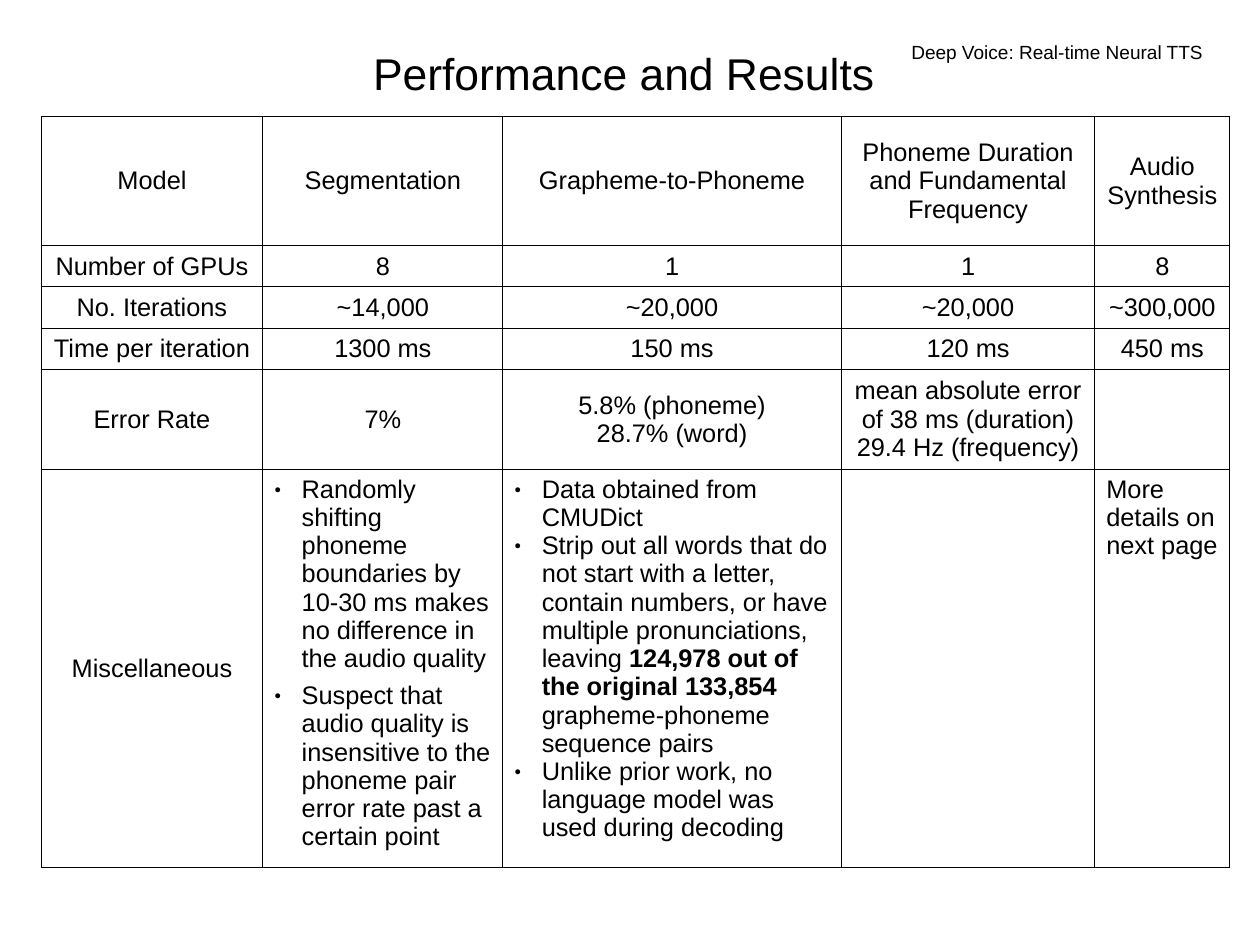
from lxml import etree
from pptx import Presentation
from pptx.dml.color import RGBColor
from pptx.enum.text import MSO_ANCHOR, PP_ALIGN
from pptx.oxml.ns import qn
from pptx.util import Inches, Pt

CENTER, LEFT = PP_ALIGN.CENTER, PP_ALIGN.LEFT
MIDDLE, TOP = MSO_ANCHOR.MIDDLE, MSO_ANCHOR.TOP
COLORS = {"ink": "000000", "paper": "FFFFFF"}
FONT = "Arial"
HEADINGS = [
    ("Performance and Results", 28, (2.5, 0.3, 5.91, 0.68)),
    ("Deep Voice: Real-time Neural TTS", 12, (7.87, 0.36, 2.76, 0.19)),
]
COLUMN_WIDTHS = [1.94, 2.1, 2.96, 2.22, 1.18]
ROW_HEIGHTS = [1.13, 0.36, 0.36, 0.36, 0.88, 3.48]
RESULTS = [
    ["Model", "Segmentation", "Grapheme-to-Phoneme",
     "Phoneme Duration and Fundamental Frequency", "Audio Synthesis"],
    ["Number of GPUs", "8", "1", "1", "8"],
    ["No. Iterations", "~14,000", "~20,000", "~20,000", "~300,000"],
    ["Time per iteration", "1300 ms", "150 ms", "120 ms", "450 ms"],
    ["Error Rate", "7%", "5.8% (phoneme)\n28.7% (word)",
     "mean absolute error of 38 ms (duration)\n29.4 Hz (frequency)", ""],
    ["Miscellaneous", "", "", "", "More details on next page"],
]
SEGMENTATION_NOTES = [
    ["Randomly shifting phoneme boundaries by 10-30 ms makes no difference in the audio quality"],
    ["Suspect that audio quality is insensitive to the phoneme pair error rate past a certain point"],
]
GRAPHEME_NOTES = [
    ["Data obtained from CMUDict"],
    ["Strip out all words that do not start with a letter, contain numbers, "
     "or have multiple pronunciations, leaving ",
     "124,978 out of the original 133,854",
     " grapheme-phoneme sequence pairs"],
    ["Unlike prior work, no language model was used during decoding"],
]
NOTES = {1: (SEGMENTATION_NOTES, 2.8), 2: (GRAPHEME_NOTES, 0)}


def add_run(paragraph, text, size, bold=False):
    run = paragraph.add_run()
    run.text = text
    run.font.name = FONT
    run.font.size = Pt(size)
    run.font.bold = bold
    run.font.color.rgb = RGBColor.from_string(COLORS["ink"])


def add_child(parent, tag, **attributes):
    child = etree.SubElement(parent, qn(tag))
    for key, value in attributes.items():
        child.set(key, str(value))
    return child


prs = Presentation()
prs.slide_width, prs.slide_height = Inches(28 / 2.54), Inches(21 / 2.54)
slide = prs.slides.add_slide(prs.slide_layouts[6])
slide.background.fill.solid()
slide.background.fill.fore_color.rgb = RGBColor.from_string(COLORS["paper"])

results_frame = slide.shapes.add_table(
    len(ROW_HEIGHTS), len(COLUMN_WIDTHS),
    Inches(0.36), Inches(1.02),
    Inches(sum(COLUMN_WIDTHS)), Inches(sum(ROW_HEIGHTS)))
results = results_frame.table
results.first_row = results.horz_banding = False
for column, width in zip(results.columns, COLUMN_WIDTHS):
    column.width = Inches(width)
for row, height in zip(results.rows, ROW_HEIGHTS):
    row.height = Inches(height)

misc_row = len(RESULTS) - 1
for r, values in enumerate(RESULTS):
    for c, value in enumerate(values):
        cell = results.cell(r, c)
        centered = r < misc_row or c == 0
        cell.vertical_anchor = MIDDLE if centered else TOP
        properties = cell._tc.get_or_add_tcPr()
        for side in ("a:lnL", "a:lnR", "a:lnT", "a:lnB"):
            border = add_child(properties, side, w=Pt(0.57))
            add_child(add_child(border, "a:solidFill"), "a:srgbClr", val=COLORS["ink"])
        cell.fill.background()
        if not value:
            continue
        for i, line in enumerate(value.split("\n")):
            paragraph = cell.text_frame.paragraphs[0] if i == 0 else cell.text_frame.add_paragraph()
            paragraph.alignment = CENTER if centered else LEFT
            add_run(paragraph, line, 16)

for c, (notes, gap) in NOTES.items():
    frame = results.cell(misc_row, c).text_frame
    for i, note in enumerate(notes):
        paragraph = frame.paragraphs[0] if i == 0 else frame.add_paragraph()
        bullet = paragraph._p.get_or_add_pPr()
        bullet.set("marL", str(Inches(0.24)))
        bullet.set("indent", str(-Inches(0.24)))
        add_child(add_child(bullet, "a:buClr"), "a:srgbClr", val=COLORS["ink"])
        add_child(bullet, "a:buSzPct", val=45000)
        add_child(bullet, "a:buFont", typeface=FONT)
        add_child(bullet, "a:buChar", char="●")
        paragraph.alignment = LEFT
        paragraph.space_before = Pt(gap if i else 0)
        paragraph.space_after = Pt(gap)
        for k, text in enumerate(note):
            add_run(paragraph, text, 16, bold=k == 1)

for text, size, place in HEADINGS:
    heading = slide.shapes.add_textbox(*map(Inches, place)).text_frame
    heading.word_wrap = True
    heading.vertical_anchor = MIDDLE
    heading.margin_left = heading.margin_right = 0
    heading.margin_top = heading.margin_bottom = 0
    heading.paragraphs[0].alignment = CENTER
    add_run(heading.paragraphs[0], text, size)

prs.save("out.pptx")
